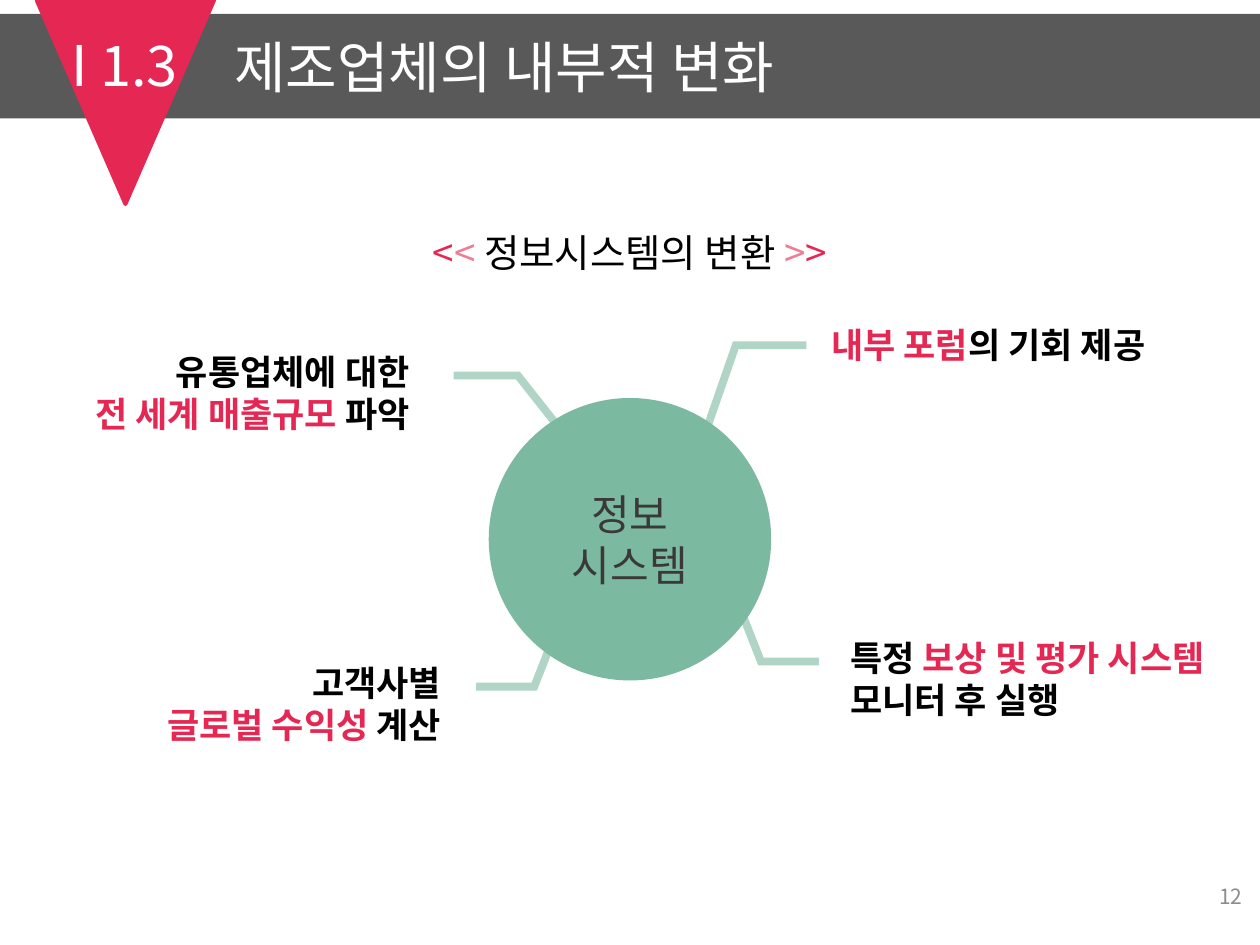
from lxml.etree import SubElement
from pptx import Presentation
from pptx.dml.color import RGBColor
from pptx.enum.shapes import MSO_SHAPE
from pptx.enum.text import MSO_ANCHOR, PP_ALIGN
from pptx.oxml.ns import qn
from pptx.util import Inches, Pt

PINK = RGBColor(0xE5, 0x27, 0x54)
LIGHT_PINK = RGBColor(0xEF, 0x7D, 0x98)
GREEN = RGBColor(0x7B, 0xB9, 0xA0)
LIGHT_GREEN = RGBColor(0xB0, 0xD5, 0xC6)
DARK_GRAY = RGBColor(0x59, 0x59, 0x59)
BROWN_GRAY = RGBColor(0x3B, 0x38, 0x38)
PAGE_GRAY = RGBColor(0x8C, 0x8C, 0x8C)
WHITE = RGBColor(0xFF, 0xFF, 0xFF)
BLACK = RGBColor(0, 0, 0)
KOREAN_FONT = "Noto Sans CJK KR"
LATIN_FONT = "Roboto"

SECTION = [[("I 1.3", WHITE)]]
TITLE = [[("제조업체의 내부적 변화", WHITE)]]
HEADING = [[("<", PINK), ("< ", LIGHT_PINK), ("정보시스템의 변환 ", BLACK),
            (">", LIGHT_PINK), (">", PINK)]]
CENTER = [[("정보", BROWN_GRAY)], [("시스템", BROWN_GRAY)]]
PAGE_NUMBER = [[("12", PAGE_GRAY)]]

LEADERS = [
    [(5.61, 3.4), (5.84, 2.74), (6.4, 2.74)],
    [(5.87, 4.82), (6.04, 5.25), (6.5, 5.25)],
    [(4.41, 3.36), (4.11, 2.98), (3.6, 2.98)],
    [(4.41, 5.02), (4.24, 5.45), (3.78, 5.45)],
]
CALLOUTS = [
    ((0.48, 2.73, 2.87, 0.84), PP_ALIGN.RIGHT,
     [[("유통업체에 대한", BLACK)], [("전 세계 매출규모 ", PINK), ("파악", BLACK)]]),
    ((1.09, 5.2, 2.51, 0.84), PP_ALIGN.RIGHT,
     [[("고객사별", BLACK)], [("글로벌 수익성 ", PINK), ("계산", BLACK)]]),
    ((6.5, 2.52, 2.87, 0.44), PP_ALIGN.LEFT,
     [[("내부 포럼", PINK), ("의 기회 제공", BLACK)]]),
    ((6.65, 5, 3.22, 0.84), PP_ALIGN.LEFT,
     [[("특정 ", BLACK), ("보상 및 평가 시스템", PINK)], [("모니터 후 실행", BLACK)]]),
]


def write(frame, lines, size, align, font=KOREAN_FONT, bold=False):
    for index, line in enumerate(lines):
        paragraph = frame.paragraphs[0] if index == 0 else frame.add_paragraph()
        paragraph.alignment = align
        for text, color in line:
            run = paragraph.add_run()
            run.text = text
            run.font.size = Pt(size)
            run.font.bold = bold
            run.font.color.rgb = color
            run.font.name = font
            east_asian = SubElement(run.font._element, qn("a:ea"))
            east_asian.set("typeface", KOREAN_FONT)


def add_text(slide, box, lines, size, align, wrap=True, anchor=MSO_ANCHOR.TOP, **style):
    frame = slide.shapes.add_textbox(*map(Inches, box)).text_frame
    frame.word_wrap = wrap
    frame.vertical_anchor = anchor
    write(frame, lines, size, align, **style)


def add_solid(slide, preset, box, color, line_width=0):
    shape = slide.shapes.add_shape(preset, *map(Inches, box))
    shape.shadow.inherit = False
    shape.fill.solid()
    shape.fill.fore_color.rgb = color
    if line_width:
        shape.line.color.rgb = color
        shape.line.width = Pt(line_width)
    else:
        shape.line.fill.background()
    return shape


def set_join(shape, join):
    element = SubElement(shape.line._get_or_add_ln(), qn(f"a:{join}"))
    if join == "miter":
        element.set("lim", "800000")


def add_leader(slide, points):
    start, *rest = [tuple(map(Inches, point)) for point in points]
    builder = slide.shapes.build_freeform(*start)
    builder.add_line_segments(rest, close=False)
    shape = builder.convert_to_shape()
    shape.shadow.inherit = False
    shape.fill.background()
    shape.line.color.rgb = LIGHT_GREEN
    shape.line.width = Pt(4.5)
    set_join(shape, "miter")


def main():
    presentation = Presentation()
    presentation.slide_width = Inches(10)
    presentation.slide_height = Inches(7.5)
    slide = presentation.slides.add_slide(presentation.slide_layouts[6])

    add_solid(slide, MSO_SHAPE.RECTANGLE, (0, 0.11, 10, 0.83), DARK_GRAY)
    marker = add_solid(slide, MSO_SHAPE.ISOSCELES_TRIANGLE, (0.29, 0, 1.41, 1.62), PINK, 2.25)
    marker.rotation = 180
    set_join(marker, "round")
    add_text(slide, (0.24, 0.19, 1.5, 0.64), SECTION, 32, PP_ALIGN.CENTER)
    add_text(slide, (1.76, 0.21, 7.99, 0.64), TITLE, 32, PP_ALIGN.LEFT)
    add_text(slide, (0, 1.77, 10, 0.47), HEADING, 22, PP_ALIGN.CENTER)
    add_text(slide, (7.63, 6.91, 2.33, 0.4), PAGE_NUMBER, 12, PP_ALIGN.RIGHT,
             anchor=MSO_ANCHOR.MIDDLE)

    for points in LEADERS:
        add_leader(slide, points)
    circle = add_solid(slide, MSO_SHAPE.OVAL, (3.9, 3.18, 2.2, 2.2), GREEN, 3)
    circle.text_frame.vertical_anchor = MSO_ANCHOR.MIDDLE
    write(circle.text_frame, CENTER, 24, PP_ALIGN.CENTER)
    for box, align, lines in CALLOUTS:
        add_text(slide, box, lines, 20, align, wrap=False, font=LATIN_FONT, bold=True)

    presentation.save("out.pptx")


if __name__ == "__main__":
    main()
